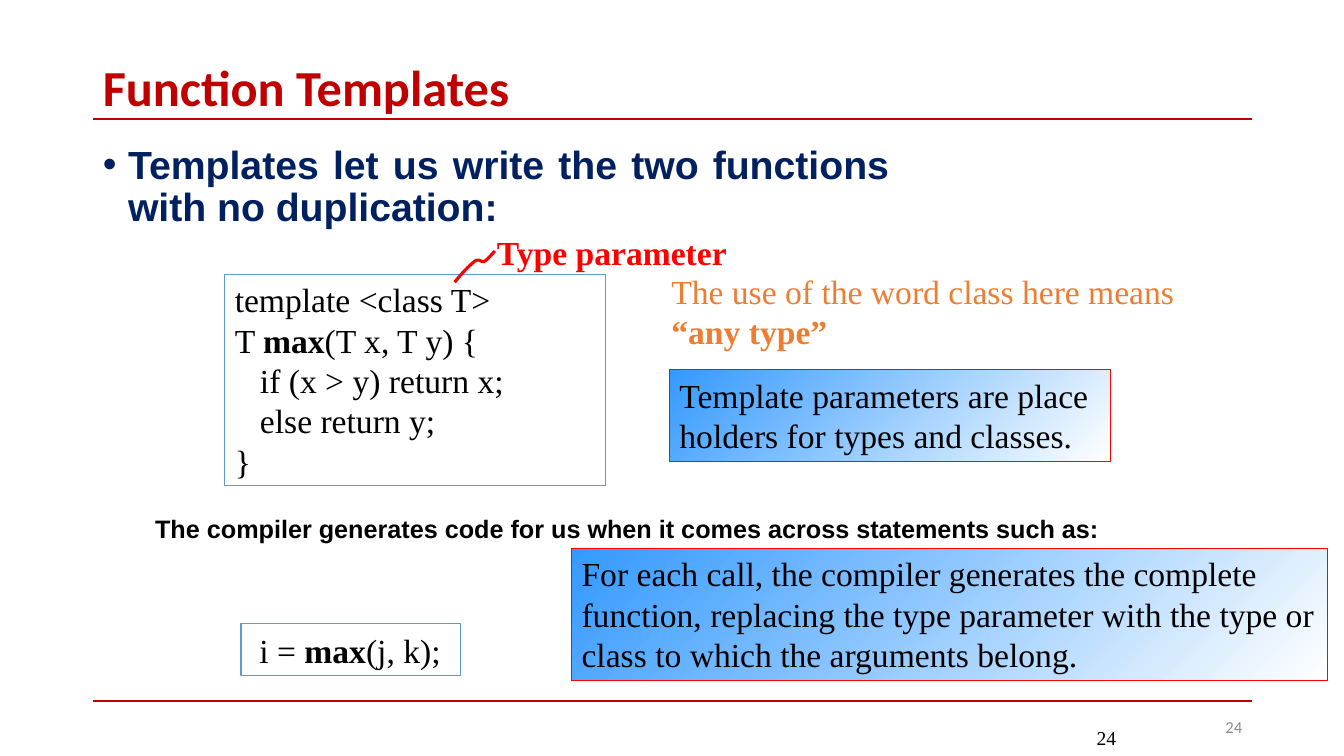
"""Build the Function Templates slide."""
import lxml.etree
import pptx
import pptx.dml.color
import pptx.enum.shapes
import pptx.enum.text
import pptx.oxml.ns
import pptx.util

PX = 9144
RED = pptx.dml.color.RGBColor(0xC0, 0x00, 0x00)
BRIGHT_RED = pptx.dml.color.RGBColor(0xFF, 0x00, 0x00)
NAVY = pptx.dml.color.RGBColor(0x00, 0x20, 0x60)
BLUE = pptx.dml.color.RGBColor(0x5B, 0x9B, 0xD5)
SKY = pptx.dml.color.RGBColor(0x33, 0x99, 0xFF)
ORANGE = pptx.dml.color.RGBColor(0xED, 0x7D, 0x31)
GREY = pptx.dml.color.RGBColor(0x8C, 0x8C, 0x8C)
BLACK = pptx.dml.color.RGBColor(0x00, 0x00, 0x00)
WHITE = pptx.dml.color.RGBColor(0xFF, 0xFF, 0xFF)
SERIF = "Times New Roman"
LEFT = pptx.enum.text.PP_ALIGN.LEFT
RIGHT = pptx.enum.text.PP_ALIGN.RIGHT
JUSTIFY = pptx.enum.text.PP_ALIGN.JUSTIFY
TOP = pptx.enum.text.MSO_ANCHOR.TOP
MIDDLE = pptx.enum.text.MSO_ANCHOR.MIDDLE
qn = pptx.oxml.ns.qn


def place(shape, bounds):
    """Move and size a shape in px."""
    shape.left, shape.top, shape.width, shape.height = [n * PX for n in bounds]


def write(shape, lines, size, font, color, align=LEFT, anchor=TOP, wrap=True):
    """Write lines, each a list of (text, bold) runs."""
    frame = shape.text_frame
    frame.auto_size = pptx.enum.text.MSO_AUTO_SIZE.NONE
    frame.word_wrap = wrap
    frame.vertical_anchor = anchor
    for index, runs in enumerate(lines):
        para = frame.add_paragraph() if index else frame.paragraphs[0]
        para.alignment = align
        for text, bold in runs:
            span = para.add_run()
            span.text = text
            span.font.size = pptx.util.Pt(size)
            span.font.name = font
            span.font.bold = bold
            span.font.color.rgb = color


deck = pptx.Presentation()
deck.slide_width, deck.slide_height = 1333 * PX, 750 * PX
page = deck.slides.add_slide(deck.slide_layouts[1])

for y in (118, 695):
    rule = page.shapes.add_connector(
        pptx.enum.shapes.MSO_CONNECTOR.STRAIGHT, 92 * PX, y * PX, 1242 * PX, y * PX)
    rule.line.color.rgb = RED
    rule.line.width = pptx.util.Pt(1.5)
    lxml.etree.SubElement(rule._element.spPr, qn("a:effectLst"))

title = page.shapes.title
place(title, (92, 61, 1150, 58))
write(title, [[("Function Templates", True)]], 36, "Calibri", RED, anchor=MIDDLE)
title.text_frame.paragraphs[0].line_spacing = 0.9

body = page.placeholders[1]
place(body, (92, 139, 800, 537))
write(body, [[("Templates let us write the two functions with no duplication:", True)]],
      28, "Arial", NAVY, JUSTIFY)
point = body.text_frame.paragraphs[0]
point.line_spacing = 0.9
point.space_before = pptx.util.Pt(10)
props = point._p.get_or_add_pPr()
props.set("marL", str(25 * PX))
props.set("indent", str(-25 * PX))
lxml.etree.SubElement(props, qn("a:buFont")).set("typeface", "Arial")
lxml.etree.SubElement(props, qn("a:buChar")).set("char", "•")

labels = [
    ((942, 701, 300, 40), [[("24", False)]], 12, "Calibri", GREY, RIGHT, MIDDLE, True),
    ((891, 707, 226, 50), [[("24", False)]], 14, SERIF, BLACK, RIGHT, MIDDLE, True),
    ((144, 504, 972, 40),
     [[("The compiler generates code for us when it comes across statements such as:", True)]],
     18, "Arial", BLACK, LEFT, TOP, True),
    ((656, 264, 519, 90),
     [[("The use of the word class here means", False)], [("“any type”", True)]],
     24, SERIF, ORANGE, LEFT, TOP, False),
    ((483, 225, 251, 50), [[("Type parameter", True)]],
     24, SERIF, BRIGHT_RED, LEFT, TOP, False),
]
for bounds, *content in labels:
    write(page.shapes.add_textbox(*[n * PX for n in bounds]), *content)

template_code = [
    [("template <class T>", False)],
    [("T ", False), ("max", True), ("(T x, T y) {", False)],
    [("if (x > y) return x;", False)],
    [("else return y;", False)],
    [("}", False)],
]
call_code = [[(" i = ", False), ("max", True), ("(j, k);", False)]]
parameters_note = [[("Template parameters are place", False)],
                   [("holders for types and classes.", False)]]
calls_note = [[("For each call, the compiler generates the complete function, replacing "
                "the type parameter with the type or class to which the arguments belong.",
                False)]]
panels = [
    ((223, 272, 378, 210), template_code, BLUE, MIDDLE, True),
    ((239, 619, 218, 51), call_code, BLUE, MIDDLE, False),
    ((664, 367, 437, 91), parameters_note, BRIGHT_RED, TOP, False),
    ((567, 544, 750, 131), calls_note, BRIGHT_RED, TOP, True),
]
for bounds, lines, outline, anchor, wrap in panels:
    panel = page.shapes.add_shape(
        pptx.enum.shapes.MSO_SHAPE.RECTANGLE, *[n * PX for n in bounds])
    panel.shadow.inherit = False
    panel.line.color.rgb = outline
    panel.line.width = pptx.util.Pt(0.75)
    if outline == BLUE:
        panel.fill.background()
    else:
        panel.fill.gradient()
        panel.fill.gradient_angle = 315
        for stop, color, position in zip(panel.fill.gradient_stops, (SKY, WHITE), (0, 1)):
            stop.color.rgb = color
            stop.position = position
    write(panel, lines, 24, SERIF, BLACK, anchor=anchor, wrap=wrap)
    if lines is template_code:
        for para in panel.text_frame.paragraphs[2:4]:
            para._p.get_or_add_pPr().set("marL", str(25 * PX))

STEPS = 8
start = (451, 280)
curves = [((458, 271), (466, 263), (471, 259)),
          ((476, 256), (477, 261), (481, 259)),
          ((484, 257), (487, 253), (491, 249))]
points = [start]
for first, second, end in curves:
    origin = points[-1]
    for step in range(1, STEPS + 1):
        t = step / STEPS
        points.append(tuple(
            (1 - t) ** 3 * a + 3 * (1 - t) ** 2 * t * b + 3 * (1 - t) * t ** 2 * c + t ** 3 * d
            for a, b, c, d in zip(origin, first, second, end)))
builder = page.shapes.build_freeform(start[0] * PX, start[1] * PX)
builder.add_line_segments([(x * PX, y * PX) for x, y in points[1:]], close=False)
squiggle = builder.convert_to_shape()
squiggle.shadow.inherit = False
squiggle.fill.background()
squiggle.line.color.rgb = BRIGHT_RED
squiggle.line.width = pptx.util.Pt(2.25)

deck.save("out.pptx")
